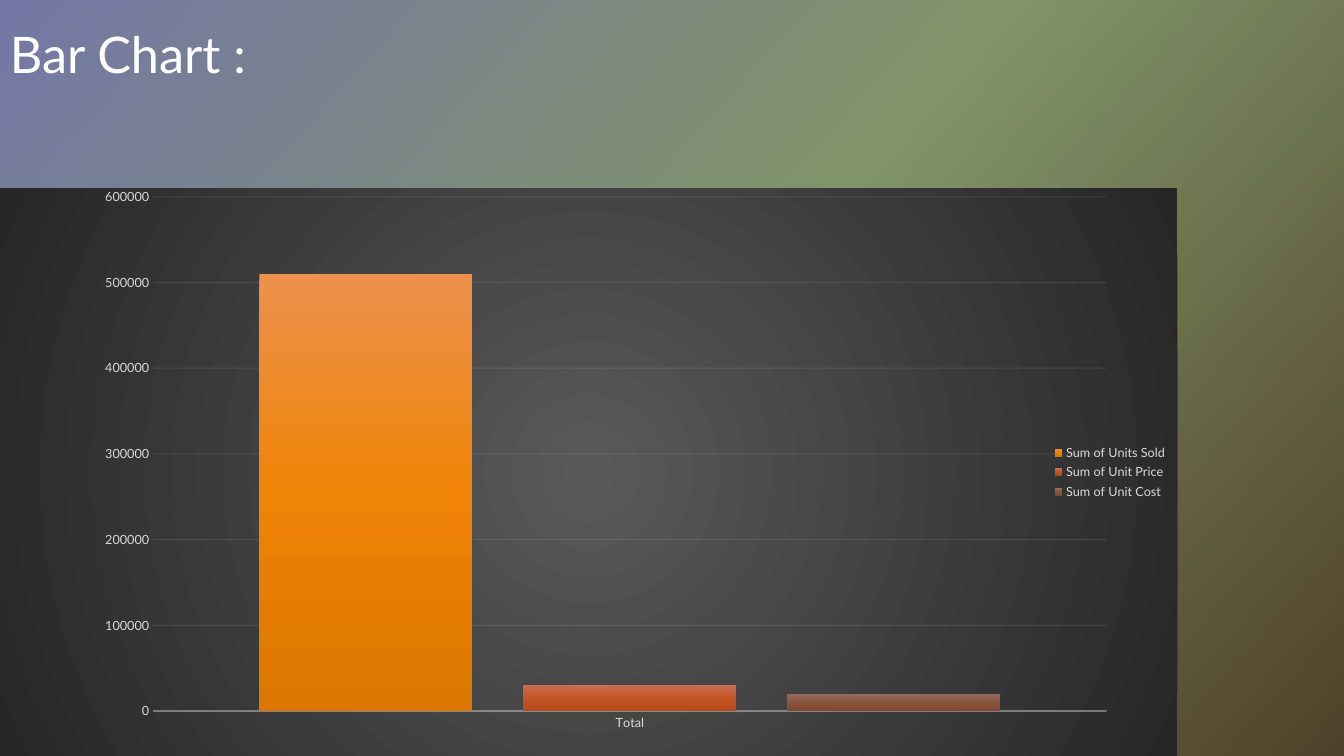
"""Build a slide with a title and a clustered column chart of sales sums."""
import pptx
import pptx.chart.data
import pptx.dml.color
import pptx.enum.chart
import pptx.enum.text
import pptx.oxml
import pptx.oxml.ns
import pptx.util

Pt = pptx.util.Pt
RGB = pptx.dml.color.RGBColor
XL = pptx.enum.chart

WHITE = RGB(0xFF, 0xFF, 0xFF)
LABEL = RGB(0xD9, 0xD9, 0xD9)
AXIS = RGB(0xF2, 0xF2, 0xF2)
BACKGROUND = [(0, RGB(0x74, 0x78, 0xA6)), (50, RGB(0x81, 0x94, 0x69)), (100, RGB(0x4F, 0x41, 0x29))]
CHART_FILL = [(0, RGB(0x59, 0x59, 0x59)), (100, RGB(0x26, 0x26, 0x26))]
ORANGE = [(0, RGB(0xED, 0x91, 0x4C)), (50, RGB(0xEF, 0x84, 0x07)), (100, RGB(0xDB, 0x76, 0x00))]
RED = [(0, RGB(0xC7, 0x6E, 0x53)), (50, RGB(0xC4, 0x55, 0x25)), (100, RGB(0xB5, 0x49, 0x1A))]
BROWN = [(0, RGB(0x94, 0x6C, 0x5D)), (50, RGB(0x8A, 0x55, 0x3D)), (100, RGB(0x7D, 0x4A, 0x33))]
SERIES = [
    ("Sum of Units Sold", 510000, ORANGE),
    ("Sum of Unit Price", 30000, RED),
    ("Sum of Unit Cost", 20000, BROWN),
]
PLOT = {"x": 0.13, "y": 0.015, "w": 0.81, "h": 0.906}
RADIAL = '<a:path path="circle"><a:fillToRect l="50000" t="50000" r="50000" b="50000"/></a:path>'


def apply(obj, values):
    for name, value in values.items():
        setattr(obj, name, value)


def linear(angle):
    return f'<a:lin ang="{angle * 60000}" scaled="0"/>'


def gradient(stops, direction):
    gs = "".join(
        f'<a:gs pos="{pos * 1000}"><a:srgbClr val="{color}"/></a:gs>' for pos, color in stops
    )
    return (
        f'<a:gradFill {pptx.oxml.ns.nsdecls("a")} rotWithShape="1">'
        f"<a:gsLst>{gs}</a:gsLst>{direction}</a:gradFill>"
    )


class Deck:
    font = "Lato"

    def __init__(self):
        self.prs = pptx.Presentation()
        apply(self.prs, {"slide_width": Pt(960), "slide_height": Pt(540)})
        self.s = self.prs.slides.add_slide(self.prs.slide_layouts[6])

    def style(self, font, size, color):
        apply(font, {"name": self.font, "size": Pt(size)})
        font.color.rgb = color

    def fill(self, fill, root, query, stops, direction):
        fill.solid()
        solid = root.xpath(query + "/a:solidFill")[0]
        solid.getparent().replace(solid, pptx.oxml.parse_xml(gradient(stops, direction)))

    def background(self, stops, angle):
        self.fill(self.s.background.fill, self.s.element, ".//p:bgPr", stops, linear(angle))

    def title(self, text, x, y, w, h):
        tf = self.s.shapes.add_textbox(Pt(x), Pt(y), Pt(w), Pt(h)).text_frame
        apply(tf, {"word_wrap": True, "vertical_anchor": pptx.enum.text.MSO_ANCHOR.MIDDLE})
        p = tf.paragraphs[0]
        p.line_spacing = 0.9
        r = p.add_run()
        r.text = text
        self.style(r.font, 36, WHITE)

    def line(self, line, root, query, color, width, alpha):
        line.width = Pt(width)
        line.fill.solid()
        line.fill.fore_color.rgb = color
        clr = root.xpath(query + "/c:spPr/a:ln/a:solidFill/a:srgbClr")[0]
        clr.append(pptx.oxml.parse_xml(
            f'<a:alpha {pptx.oxml.ns.nsdecls("a")} val="{alpha * 1000}"/>'))

    def chart(self, categories, series, x, y, w, h):
        data = pptx.chart.data.CategoryChartData()
        data.categories = categories
        for name, value, _ in series:
            data.add_series(name, [value])
        chart = self.s.shapes.add_chart(
            XL.XL_CHART_TYPE.COLUMN_CLUSTERED, Pt(x), Pt(y), Pt(w), Pt(h), data).chart
        root = chart.element
        apply(chart, {"has_title": False, "has_legend": True})
        self.style(chart.font, 10, WHITE)
        apply(chart.legend, {"position": XL.XL_LEGEND_POSITION.RIGHT, "include_in_layout": False})
        self.style(chart.legend.font, 9, LABEL)

        plot = chart.plots[0]
        apply(plot, {"gap_width": 100, "overlap": -24, "vary_by_categories": False})
        for i, (ser, (_, _, stops)) in enumerate(zip(plot.series, series), 1):
            self.fill(ser.format.fill, root, f".//c:ser[{i}]/c:spPr", stops, linear(90))

        cat, val = chart.category_axis, chart.value_axis
        for axis in (cat, val):
            apply(axis, {"major_tick_mark": XL.XL_TICK_MARK.NONE,
                         "minor_tick_mark": XL.XL_TICK_MARK.NONE})
            self.style(axis.tick_labels.font, 9, LABEL)
        apply(val, {"minimum_scale": 0, "maximum_scale": 600000, "major_unit": 100000,
                    "has_major_gridlines": True})
        val.format.line.fill.background()
        self.line(cat.format.line, root, ".//c:catAx", AXIS, 1, 54)
        self.line(val.major_gridlines.format.line, root, ".//c:majorGridlines", WHITE, 0.75, 10)
        self.frame(root)

    def frame(self, root):
        ns = pptx.oxml.ns.nsdecls("c", "a")
        area = root.xpath("c:chart/c:plotArea")[0]
        for old in area.xpath("c:layout"):
            area.remove(old)
        sizes = "".join(f'<c:{key} val="{value}"/>' for key, value in PLOT.items())
        area.insert(0, pptx.oxml.parse_xml(
            f'<c:layout {ns}><c:manualLayout><c:layoutTarget val="inner"/>'
            f'<c:xMode val="edge"/><c:yMode val="edge"/>{sizes}</c:manualLayout></c:layout>'))
        root.xpath("c:chart")[0].addnext(pptx.oxml.parse_xml(
            f"<c:spPr {ns}>{gradient(CHART_FILL, RADIAL)}<a:ln><a:noFill/></a:ln></c:spPr>"))


def main():
    deck = Deck()
    deck.background(BACKGROUND, 42)
    deck.title("Bar Chart :", 0, -6.5, 285, 95)
    deck.chart(["Total"], SERIES, 0, 134.5, 841, 405.5)
    deck.prs.save("out.pptx")


if __name__ == "__main__":
    main()
